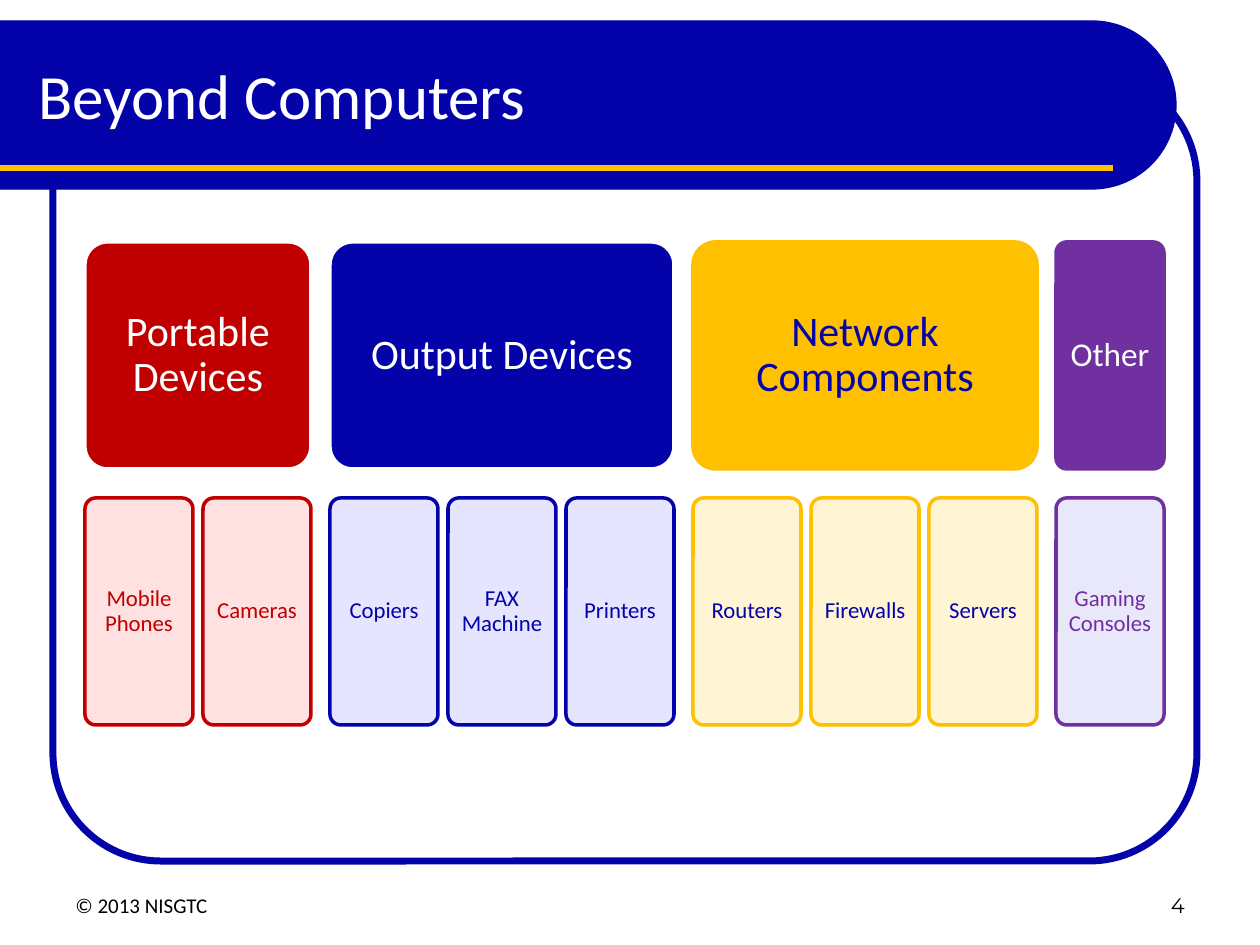
import math

from lxml import etree
from pptx import Presentation
from pptx import util as u
from pptx.dml import color
from pptx.enum import shapes, text
from pptx.oxml import ns

NAVY, WHITE, BLACK, AMBER = "0403A9", "FFFFFF", "000000", "FFC000"
CARD_WIDTH, CARD_GAP, GROUP_GAP = 108, 10, 19
CARD_HEIGHT, ROW_PITCH = 227, 256

GROUPS = [
    {"head": "Portable Devices", "items": ["Mobile Phones", "Cameras"],
     "fill": "C00000", "border": WHITE, "color": WHITE, "size": 24, "inset": 13,
     "tint": "FFE1E1", "edge": "C00000", "item_color": "C00000"},
    {"head": "Output Devices", "items": ["Copiers", "FAX Machine", "Printers"],
     "fill": NAVY, "border": WHITE, "color": WHITE, "size": 24, "inset": 13,
     "tint": "E5E5FF", "edge": NAVY, "item_color": NAVY},
    {"head": "Network Components", "items": ["Routers", "Firewalls", "Servers"],
     "fill": AMBER, "border": AMBER, "color": NAVY, "size": 24, "inset": 13,
     "tint": "FFF5D5", "edge": AMBER, "item_color": NAVY},
    {"head": "Other", "items": ["Gaming Consoles"],
     "fill": "7030A0", "border": "7030A0", "color": WHITE, "size": 19, "inset": 10,
     "tint": "E8E8FA", "edge": "7030A0", "item_color": "7030A0"},
]


def px(length):
    """Turn pixels into EMU."""
    return u.Emu(round(length * 914400 / 126))


def rgb(value):
    """Turn a hex string into a colour."""
    return color.RGBColor.from_string(value)


def style(shape, fill, line, width):
    """Set the fill and outline of a shape and drop its shadow."""
    shape.shadow.inherit = False
    if fill:
        shape.fill.solid()
        shape.fill.fore_color.rgb = rgb(fill)
    else:
        shape.fill.background()
    shape.line.color.rgb = rgb(line)
    shape.line.width = u.Pt(width)


def write(shape, words, size, ink, font="Calibri", align="LEFT", anchor="MIDDLE"):
    """Put one paragraph into a shape and return it."""
    frame = shape.text_frame
    frame.word_wrap = True
    frame.vertical_anchor = getattr(text.MSO_ANCHOR, anchor)
    paragraph = frame.paragraphs[0]
    paragraph.text = words
    paragraph.alignment = getattr(text.PP_ALIGN, align)
    paragraph.font.size = u.Pt(size)
    paragraph.font.name = font
    paragraph.font.color.rgb = rgb(ink)
    return paragraph


def add_label(slide, box, words, size, ink, **options):
    """Add a text box."""
    shape = slide.shapes.add_textbox(*map(px, box))
    write(shape, words, size, ink, **options)


def add_rounded(slide, box, corner, fill, line, width):
    """Add a rounded rectangle."""
    shape = slide.shapes.add_shape(shapes.MSO_SHAPE.ROUNDED_RECTANGLE, *map(px, box))
    shape.adjustments[0] = corner
    style(shape, fill, line, width)
    return shape


def add_card(slide, box, words, fill, line, ink, size, inset):
    """Add a card with centred words."""
    card = add_rounded(slide, box, 0.1, fill, line, 2)
    frame = card.text_frame
    frame.margin_left = frame.margin_right = px(inset)
    frame.margin_top = frame.margin_bottom = px(inset)
    write(card, words, size, ink, align="CENTER").line_spacing = 0.9


def add_banner(slide, box, title):
    """Add the round-ended title banner with its rule and title."""
    left, top, width, height = box
    radius = height / 2
    center = left + width - radius
    angles = [math.radians(degree) for degree in range(-90, 91, 3)]
    arc = [(px(center + radius * math.cos(angle)),
            px(top + radius + radius * math.sin(angle))) for angle in angles]
    builder = slide.shapes.build_freeform(px(left), px(top))
    builder.add_line_segments(arc + [(px(left), px(top + height))], close=True)
    style(builder.convert_to_shape(), NAVY, NAVY, 0.75)

    rule_top = px(top + 147)
    rule = slide.shapes.add_connector(
        shapes.MSO_CONNECTOR.STRAIGHT, px(left), rule_top, px(left + width - 63), rule_top)
    rule.line.color.rgb = rgb("FDC005")
    rule.line.width = u.Pt(3)
    etree.SubElement(rule._element.spPr, ns.qn("a:effectLst"))

    add_label(slide, (left + 26, top + 10, 1105, 126), title, 36, WHITE)


def add_group(slide, left, top, group):
    """Add a heading card over its item cards and return the group width."""
    pitch = CARD_WIDTH + CARD_GAP
    width = len(group["items"]) * pitch - CARD_GAP
    add_card(slide, (left, top, width, CARD_HEIGHT), group["head"], group["fill"],
             group["border"], group["color"], group["size"], group["inset"])
    for index, item in enumerate(group["items"]):
        box = (left + index * pitch, top + ROW_PITCH, CARD_WIDTH, CARD_HEIGHT)
        add_card(slide, box, item, group["tint"], group["edge"],
                 group["item_color"], 13, 6)
    return width


def add_groups(slide, left, top):
    """Add all device groups side by side."""
    for group in GROUPS:
        left += add_group(slide, left, top, group) + GROUP_GAP


def add_footer(slide, box):
    """Add the copyright line and the slide number."""
    left, top, width, height = box
    label_width = 294
    add_label(slide, (left, top, label_width, height), "© 2013 NISGTC", 12, BLACK,
              anchor="BOTTOM")
    add_label(slide, (left + width - label_width, top, label_width, height), "4", 12,
              BLACK, font="Montserrat", align="RIGHT", anchor="BOTTOM")


def main():
    """Build and save the slide."""
    presentation = Presentation()
    presentation.slide_width, presentation.slide_height = px(1260), px(945)
    slide = presentation.slides.add_slide(presentation.slide_layouts[6])
    add_rounded(slide, (53, 73, 1144, 788), 0.137, None, NAVY, 4)
    add_banner(slide, (0, 21, 1176, 168), "Beyond Computers")
    add_footer(slide, (63, 861, 1134, 63))
    add_groups(slide, 85, 242)
    presentation.save("out.pptx")


if __name__ == "__main__":
    main()
